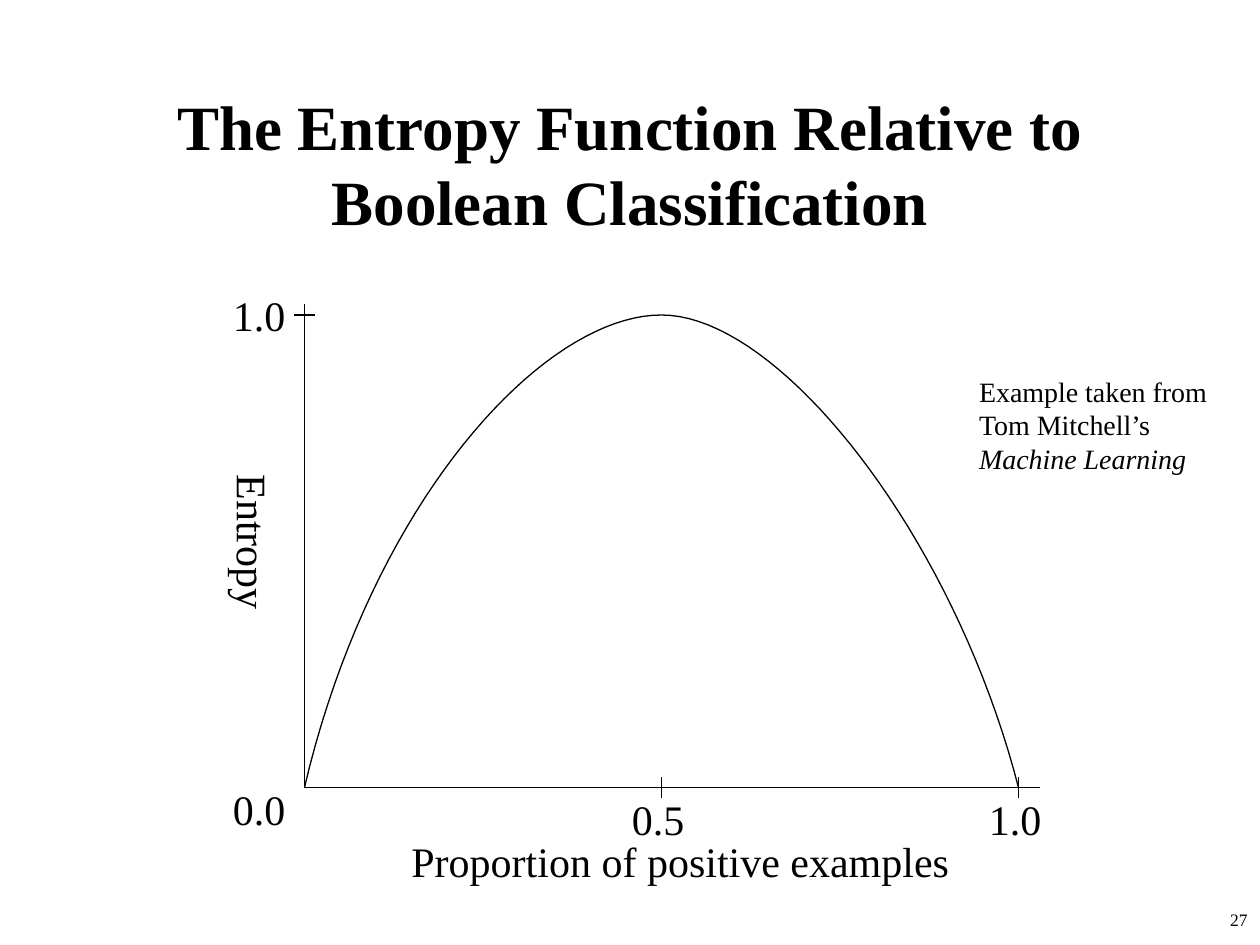
from lxml.etree import SubElement
from pptx import Presentation
from pptx.dml.color import RGBColor as RGB
from pptx.enum.shapes import MSO_CONNECTOR as Conn
from pptx.enum.text import MSO_ANCHOR as Anchor, MSO_AUTO_SIZE as Auto, PP_ALIGN as Align
from pptx.oxml.ns import qn
from pptx.util import Pt

INK = "000000"
FONT = "Times New Roman"
LEFT, MID, RIGHT = 174, 378, 582
TOP, BASE = 180, 450
TICK = 6
STEPS = 40
CURVES = [
    [(LEFT, BASE), (212.4, 286.6), (310.3, TOP), (MID, TOP)],
    [(MID, TOP), (445.7, TOP), (545, 306), (RIGHT, BASE)],
]


def paint(item, color):
    item.color.rgb = RGB.from_string(color)


def add_text(shapes, lines, x, y, w, h, size=24, wrap=False, align=Align.LEFT, bold=False):
    box = shapes.add_textbox(Pt(x), Pt(y), Pt(w), Pt(h))
    frame = box.text_frame
    frame.word_wrap = wrap
    frame.auto_size = Auto.NONE if wrap else Auto.SHAPE_TO_FIT_TEXT
    frame.text = "\n".join(lines)
    for par in frame.paragraphs:
        par.alignment = align
        par.font.name = FONT
        par.font.size = Pt(size)
        par.font.bold = bold
        paint(par.font, INK)
    return box


def add_line(shapes, x1, y1, x2, y2):
    line = shapes.add_connector(Conn.STRAIGHT, Pt(x1), Pt(y1), Pt(x2), Pt(y2))
    paint(line.line, INK)
    line.line.width = Pt(0.75)
    SubElement(line.element.spPr, qn("a:effectLst"))


def bezier(ends, t):
    u = 1 - t
    parts = (u**3, 3 * u * u * t, 3 * u * t * t, t**3)
    return tuple(Pt(sum(k * p[axis] for k, p in zip(parts, ends))) for axis in (0, 1))


def add_curve(shapes):
    dots = [bezier(ends, i / STEPS) for ends in CURVES for i in range(1, STEPS + 1)]
    pen = shapes.build_freeform(Pt(LEFT), Pt(BASE))
    pen.add_line_segments(dots, close=False)
    curve = pen.convert_to_shape()
    curve.shadow.inherit = False
    curve.fill.background()
    paint(curve.line, INK)
    curve.line.width = Pt(0.75)


def add_plot(shapes):
    add_line(shapes, LEFT, TOP - TICK, LEFT, BASE)
    add_line(shapes, LEFT, BASE, RIGHT + 12, BASE)
    add_line(shapes, LEFT - TICK, TOP, LEFT + TICK, TOP)
    for x in (MID, RIGHT):
        add_line(shapes, x, BASE + TICK, x, BASE - TICK)
    add_curve(shapes)
    for text, x, y in (("1.0", 126, 162), ("0.0", 126, 444),
                       ("0.5", 354, BASE), ("1.0", 558, BASE)):
        add_text(shapes, [text], x, y, 45, 36)
    add_text(shapes, ["Proportion of positive examples"], 228, 474, 322, 36)
    name = add_text(shapes, ["Entropy"], 120, 264, 43, 85)
    frame = name.text_frame
    frame.margin_left = frame.margin_right = Pt(3.6)
    frame.margin_top = frame.margin_bottom = Pt(3.6)
    name.element.txBody.bodyPr.set("vert", "eaVert")


def main():
    deck = Presentation()
    deck.slide_width, deck.slide_height = Pt(720), Pt(540)
    shapes = deck.slides.add_slide(deck.slide_layouts[6]).shapes
    title = add_text(shapes, ["The Entropy Function Relative to Boolean Classification"],
                     54, 48, 612, 90, 36, True, Align.CENTER, True)
    title.text_frame.vertical_anchor = Anchor.MIDDLE
    add_plot(shapes.add_group_shape().shapes)
    note = add_text(shapes, ["Example taken from", "Tom Mitchell’s", "Machine Learning"],
                    552.4, 210.2, 145, 65, 16)
    note.text_frame.paragraphs[-1].font.italic = True
    add_text(shapes, ["27"], 570, 516, 150, 24, 10, True, Align.RIGHT)
    deck.save("out.pptx")


if __name__ == "__main__":
    main()
